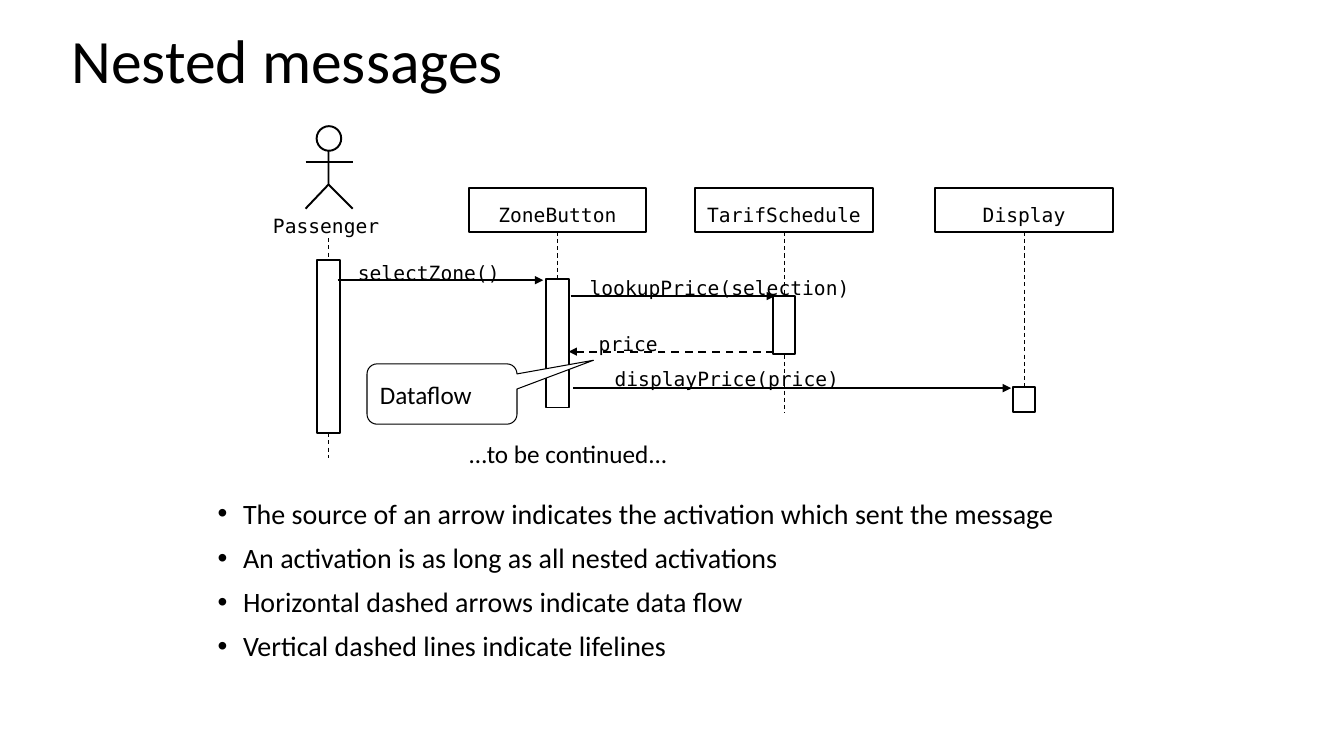
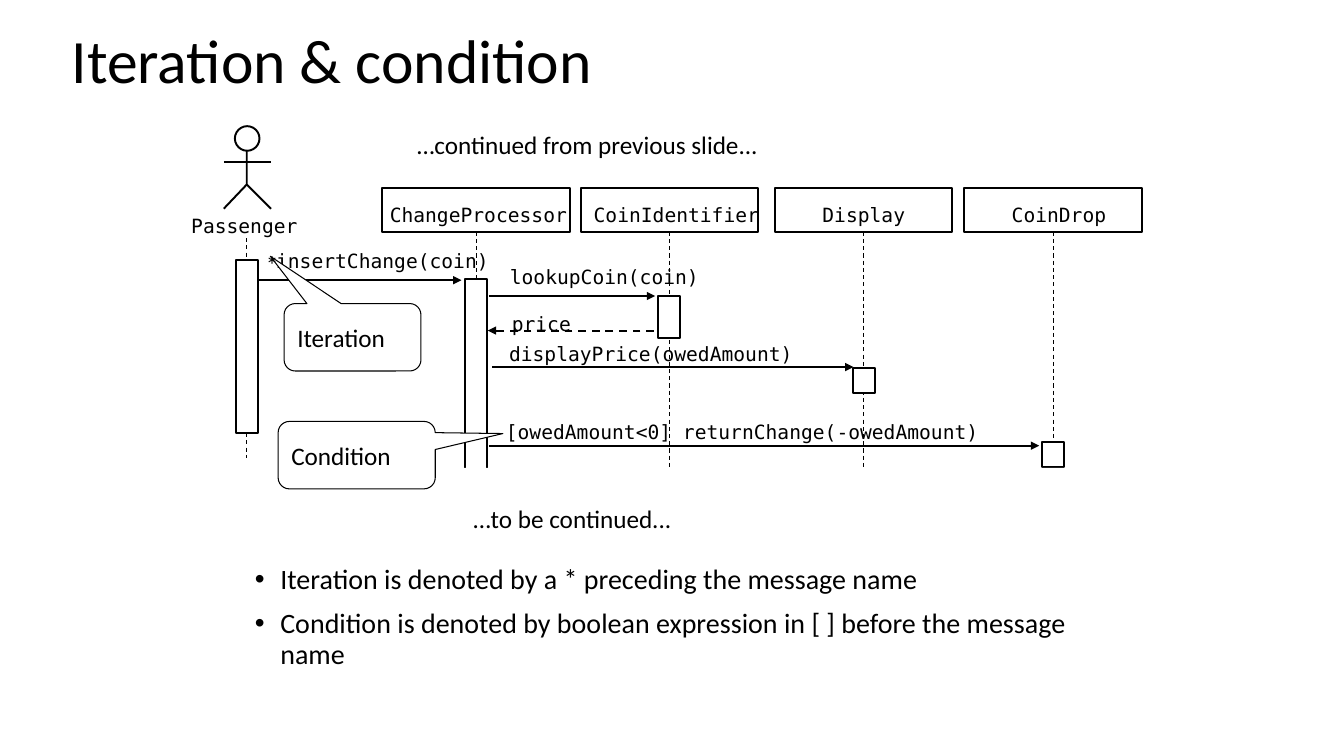
from lxml.etree import SubElement
from pptx import Presentation
from pptx.dml.color import RGBColor
from pptx.enum.dml import MSO_LINE
from pptx.enum.shapes import MSO_CONNECTOR, MSO_SHAPE as SHAPE
from pptx.enum.text import MSO_ANCHOR as ANCHOR, MSO_AUTO_SIZE as FIT, PP_ALIGN as ALIGN
from pptx.oxml.ns import qn
from pptx.util import Cm, Pt

BLACK = RGBColor(0x00, 0x00, 0x00)
WHITE = RGBColor(0xFF, 0xFF, 0xFF)
SANS = "Calibri"
MONO = "DejaVu Sans Mono"
THIN = 0.75
THICK = 1.38

HEADER_TOP = 4.75
HEADER_HEIGHT = 1.09
HEADER_WIDTH = 4.47
ACTIVATION_WIDTH = 0.56
SMALL_ACTIVATION = 0.64
CHAR_WIDTH = 0.3


class SequenceDeck:
    def __init__(self):
        self.deck = Presentation()
        self.deck.slide_width = Cm(33.87)
        self.deck.slide_height = Cm(19.05)
        self.slide = None

    def new_slide(self, title):
        self.slide = self.deck.slides.add_slide(self.deck.slide_layouts[1])
        heading = self.slide.shapes.title
        self.place(heading, 1.55, 0.61, 30.2, 1.96)
        frame = heading.text_frame
        frame.auto_size = FIT.NONE
        frame.vertical_anchor = ANCHOR.MIDDLE
        self.add_text(frame.paragraphs[0], title, 44).line_spacing = 0.9

    def bullets(self, left, top, width, height, points):
        body = self.slide.placeholders[1]
        self.place(body, left, top, width, height)
        frame = body.text_frame
        frame.auto_size = FIT.NONE
        for index, point in enumerate(points):
            paragraph = frame.add_paragraph() if index else frame.paragraphs[0]
            self.add_text(paragraph, point, 20)
            paragraph.line_spacing = 0.9
            paragraph.space_before = Pt(10)
            properties = paragraph._p.get_or_add_pPr()
            properties.set("marL", str(Cm(0.64)))
            properties.set("indent", str(Cm(-0.64)))

    def place(self, shape, left, top, width, height):
        shape.left, shape.top = Cm(left), Cm(top)
        shape.width, shape.height = Cm(width), Cm(height)

    def add_text(self, paragraph, text, size, face=SANS, align=ALIGN.LEFT):
        paragraph.alignment = align
        run = paragraph.add_run()
        run.text = text
        run.font.name = face
        run.font.size = Pt(size)
        run.font.color.rgb = BLACK
        return paragraph

    def outline(self, shape, weight):
        shape.line.color.rgb = BLACK
        shape.line.width = Pt(weight)

    def shape(self, kind, left, top, width, height, weight=THICK, fill=WHITE):
        shape = self.slide.shapes.add_shape(kind, Cm(left), Cm(top), Cm(width), Cm(height))
        shape.shadow.inherit = False
        if fill is None:
            shape.fill.background()
        else:
            shape.fill.solid()
            shape.fill.fore_color.rgb = fill
        if weight:
            self.outline(shape, weight)
        else:
            shape.line.fill.background()
        return shape

    def line(self, x1, y1, x2, y2, weight=THICK, dashed=False, arrow=False):
        line = self.slide.shapes.add_connector(
            MSO_CONNECTOR.STRAIGHT, Cm(x1), Cm(y1), Cm(x2), Cm(y2))
        self.outline(line, weight)
        if dashed:
            line.line.dash_style = MSO_LINE.DASH
        properties = line._element.spPr
        if arrow:
            SubElement(properties.find(qn("a:ln")), qn("a:tailEnd"), type="triangle")
        SubElement(properties, qn("a:effectLst"))
        return line

    def label(self, left, top, text, size=14, face=MONO):
        box = self.slide.shapes.add_textbox(
            Cm(left), Cm(top), Cm(len(text) * CHAR_WIDTH), Cm(0.6))
        frame = box.text_frame
        frame.margin_left = frame.margin_right = frame.margin_top = frame.margin_bottom = 0
        frame.word_wrap = False
        self.add_text(frame.paragraphs[0], text, size, face)

    def activation(self, center, top, height=SMALL_ACTIVATION):
        return self.shape(SHAPE.RECTANGLE, center - ACTIVATION_WIDTH / 2, top,
                          ACTIVATION_WIDTH, height)

    def passenger(self, center):
        self.line(center, 6, center, 11.53, THIN, dashed=True)
        builder = self.slide.shapes.build_freeform(Cm(center), Cm(3.61), scale=1.0)
        builder.add_line_segments(
            [(Cm(center), Cm(4.65)), (Cm(center - 0.58), Cm(5.26))], close=False)
        torso = builder.convert_to_shape()
        torso.shadow.inherit = False
        torso.fill.background()
        self.outline(torso, THICK)
        self.line(center, 4.65, center + 0.61, 5.26)
        self.line(center - 0.58, 4.08, center + 0.61, 4.08)
        self.shape(SHAPE.OVAL, center - 0.3, 3.18, 0.62, 0.62)
        self.label(center - 1.4, 5.38, "Passenger")
        self.activation(center, 6.55, 4.37)

    def participant(self, name, center, life_end, width=HEADER_WIDTH, shift=0):
        header = self.shape(SHAPE.RECTANGLE, center - width / 2, HEADER_TOP,
                            width, HEADER_HEIGHT, fill=None)
        frame = header.text_frame
        frame.margin_left = Cm(2 * shift)
        frame.margin_right = frame.margin_bottom = 0
        frame.margin_top = Cm(0.23)
        frame.word_wrap = False
        frame.vertical_anchor = ANCHOR.MIDDLE
        self.add_text(frame.paragraphs[0], name, 14, MONO, ALIGN.CENTER)
        lifeline = self.line(center, HEADER_TOP + HEADER_HEIGHT, center, life_end,
                             THIN, dashed=True)
        lifeline.begin_connect(header, 2)
        return lifeline

    def message(self, text, start, end, y, label_left, label_top, dashed=False):
        self.line(start, y, end, y, dashed=dashed, arrow=True)
        self.label(label_left, label_top, text)

    def callout(self, text, left, top, width, height, tip_x, tip_y):
        bubble = self.shape(SHAPE.ROUNDED_RECTANGULAR_CALLOUT, left, top, width, height, THIN)
        bubble.adjustments[0] = tip_x
        bubble.adjustments[1] = tip_y
        bubble.text_frame.vertical_anchor = ANCHOR.MIDDLE
        self.add_text(bubble.text_frame.paragraphs[0], text, 18)

    def caption(self, text, left, top, height=1.02):
        band = self.shape(SHAPE.RECTANGLE, left, top, 15.8, height, weight=0)
        band.text_frame.word_wrap = True
        band.text_frame.vertical_anchor = ANCHOR.BOTTOM
        self.add_text(band.text_frame.paragraphs[0], text, 18)


def nested_messages(deck):
    zone, tarif, display = 14.05, 19.76, 25.81
    deck.new_slide("Nested messages")
    deck.bullets(5.23, 12.47, 22.94, 4.8, [
        "The source of an arrow indicates the activation which sent the message",
        "An activation is as long as all nested activations",
        "Horizontal dashed arrows indicate data flow",
        "Vertical dashed lines indicate lifelines",
    ])
    deck.passenger(8.28)
    zone_lifeline = deck.participant("ZoneButton", zone, 10.27)
    deck.participant("TarifSchedule", tarif, 10.41)
    deck.participant("Display", display, 10.19)
    zone_activation = deck.activation(zone, 7.04, 3.23)
    zone_lifeline.end_connect(zone_activation, 2)
    deck.activation(tarif, 7.47, 1.45)
    deck.activation(display, 9.75)
    deck.message("selectZone()", 8.51, 13.69, 7.06, 9.02, 6.58)
    deck.message("lookupPrice(selection)", 14.38, 19.53, 7.46, 14.86, 6.96)
    deck.message("displayPrice(price)", 14.45, 25.48, 9.78, 15.49, 9.25)
    deck.message("price", 19.51, 14.33, 8.86, 15.09, 8.36, dashed=True)
    deck.callout("Dataflow", 9.25, 9.17, 3.78, 1.52, 1.01, -0.56)
    deck.caption("…to be continued...", 11.58, 10.92)


def iteration_and_condition(deck):
    processor, identifier, display, drop = 12, 16.87, 21.77, 26.54
    life_end = 12.75
    deck.new_slide("Iteration & condition")
    deck.bullets(6.17, 14.12, 21.59, 3.61, [
        "Iteration is denoted by a * preceding the message name",
        "Condition is denoted by boolean expression in [ ] before the message name",
    ])
    deck.passenger(6.22)
    deck.participant("ChangeProcessor", processor, life_end, width=4.75, shift=0.06)
    deck.participant("CoinIdentifier", identifier, life_end, shift=0.18)
    deck.participant("Display", display, life_end)
    deck.participant("CoinDrop", drop, life_end, shift=0.15)
    deck.activation(processor, 7.04, 5.31)
    deck.activation(identifier, 7.47, 1.04)
    deck.activation(display, 9.27)
    deck.activation(drop, 11.13)
    deck.message("insertChange(coin)", 6.48, 11.63, 7.06, 6.96, 6.27)
    deck.message("lookupCoin(coin)", 12.32, 16.51, 7.46, 12.85, 6.68)
    deck.message("price", 16.48, 12.29, 8.33, 12.9, 7.85, dashed=True)
    deck.message("displayPrice(owedAmount)", 12.4, 21.51, 9.25, 12.83, 8.61)
    deck.message("[owedAmount<0] returnChange(-owedAmount)", 12.32, 26.19, 11.23, 12.75, 10.59)
    deck.callout("Iteration", 7.16, 7.65, 3.45, 1.7, -0.6, -1.2)
    deck.callout("Condition", 7.01, 10.62, 3.96, 1.7, 0.93, -0.32)
    deck.caption("…to be continued...", 11.68, 11.79, height=1.78)
    deck.caption("…continued from previous slide...", 10.26, 3.12)
    deck.label(6.7, 6.28, "*", 18, SANS)


def main():
    sequence = SequenceDeck()
    nested_messages(sequence)
    iteration_and_condition(sequence)
    sequence.deck.save("out.pptx")


if __name__ == "__main__":
    main()
